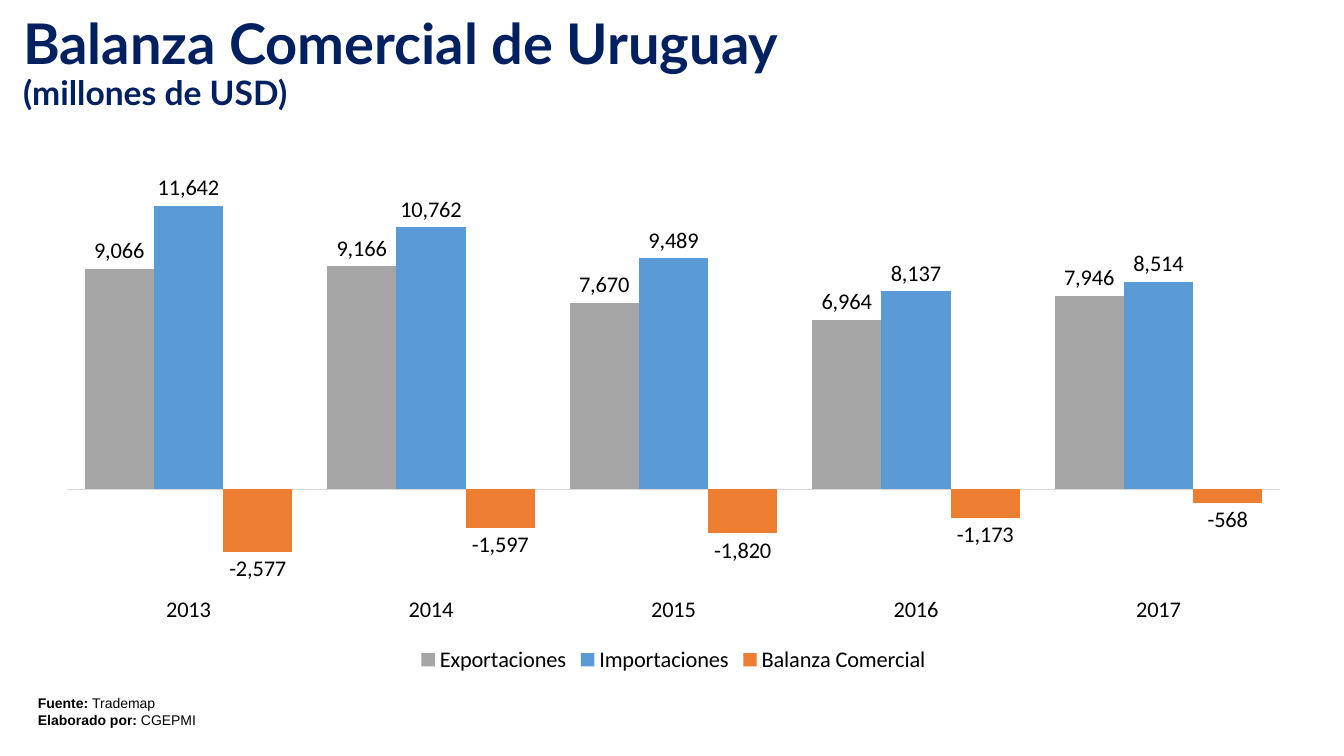
"""Build the slide on Uruguay's trade balance, 2013 to 2017."""
from copy import deepcopy

from pptx import Presentation
from pptx.chart.data import CategoryChartData
from pptx.dml.color import RGBColor
from pptx.enum.chart import (XL_CHART_TYPE, XL_LABEL_POSITION, XL_LEGEND_POSITION,
                             XL_TICK_LABEL_POSITION, XL_TICK_MARK)
from pptx.enum.text import MSO_ANCHOR, PP_ALIGN
from pptx.util import Pt

PX = 914400 / 100.8
COLORS = {"navy": "002060", "black": "000000", "axis": "D9D9D9",
          "Exportaciones": "A5A5A5", "Importaciones": "5B9BD5",
          "Balanza Comercial": "ED7D31"}
YEARS = ["2013", "2014", "2015", "2016", "2017"]
THOUSANDS = {"Exportaciones": [9066, 9166, 7670, 6964, 7946],
             "Importaciones": [11642, 10762, 9489, 8137, 8514],
             "Balanza Comercial": [-2577, -1597, -1820, -1173, -568]}
NUMBER_FORMAT = "#,###,"


def px(*lengths):
    return [round(length * PX) for length in lengths]


def style(font, name, size, color, bold=None):
    font.name, font.size, font.bold = name, Pt(size), bold
    font.color.rgb = RGBColor.from_string(COLORS[color])


deck = Presentation()
deck.slide_width, deck.slide_height = px(1344, 756)
page = deck.slides.add_slide(deck.slide_layouts[5])

title = page.shapes.title
title.left, title.top, title.width, title.height = px(13, 2, 976, 125)
title.text_frame.word_wrap = True
title.text_frame.vertical_anchor = MSO_ANCHOR.MIDDLE
para = title.text_frame.paragraphs[0]
para.text = "Balanza Comercial de Uruguay\v(millones de USD)"
para.alignment = PP_ALIGN.LEFT
para.line_spacing = 0.9
for span, size in zip(para.runs, (40, 24)):
    style(span.font, "Lato", size, "navy", True)
line_break = para.runs[0]._r.getnext()
line_break.append(deepcopy(para.runs[0]._r.rPr))

data = CategoryChartData(number_format=NUMBER_FORMAT)
data.categories = YEARS
for name, values in THOUSANDS.items():
    data.add_series(name, [value * 1000 for value in values])
chart = page.shapes.add_chart(XL_CHART_TYPE.COLUMN_CLUSTERED,
                              *px(42, 138, 1263, 540), data).chart
style(chart.font, "Calibri", 16, "black")
chart.has_title = False
chart.has_legend = True
chart.legend.position = XL_LEGEND_POSITION.BOTTOM
chart.legend.include_in_layout = False
style(chart.legend.font, "Calibri", 16, "black")

year_axis = chart.category_axis
year_axis.tick_label_position = XL_TICK_LABEL_POSITION.LOW
year_axis.major_tick_mark = XL_TICK_MARK.NONE
year_axis.format.line.color.rgb = RGBColor.from_string(COLORS["axis"])
year_axis.format.line.width = Pt(0.75)
style(year_axis.tick_labels.font, "Calibri", 16, "black")

value_axis = chart.value_axis
value_axis.minimum_scale, value_axis.maximum_scale = -4000000, 14000000
value_axis.has_major_gridlines = False
value_axis.tick_labels.number_format = NUMBER_FORMAT
value_axis.tick_labels.number_format_is_linked = False
value_axis.visible = False

plot = chart.plots[0]
plot.gap_width, plot.overlap = 50, 0
plot.vary_by_categories = False
for series in plot.series:
    series.invert_if_negative = False
    series.format.fill.solid()
    series.format.fill.fore_color.rgb = RGBColor.from_string(COLORS[series.name])
    labels = series.data_labels
    labels.show_value = True
    labels.position = XL_LABEL_POSITION.OUTSIDE_END
    labels.number_format = NUMBER_FORMAT
    labels.number_format_is_linked = False
    style(labels.font, "Calibri", 16, "black")

box = page.shapes.add_textbox(*px(28, 690, 563, 44))
box.text_frame.word_wrap = True
credits = [("Fuente: ", "Trademap"), ("Elaborado por: ", "CGEPMI")]
for index, credit in enumerate(credits):
    para = box.text_frame.add_paragraph() if index else box.text_frame.paragraphs[0]
    for text, bold in zip(credit, (True, False)):
        span = para.add_run()
        span.text = text
        style(span.font, "Arial", 10, "black", bold)

deck.save("out.pptx")
